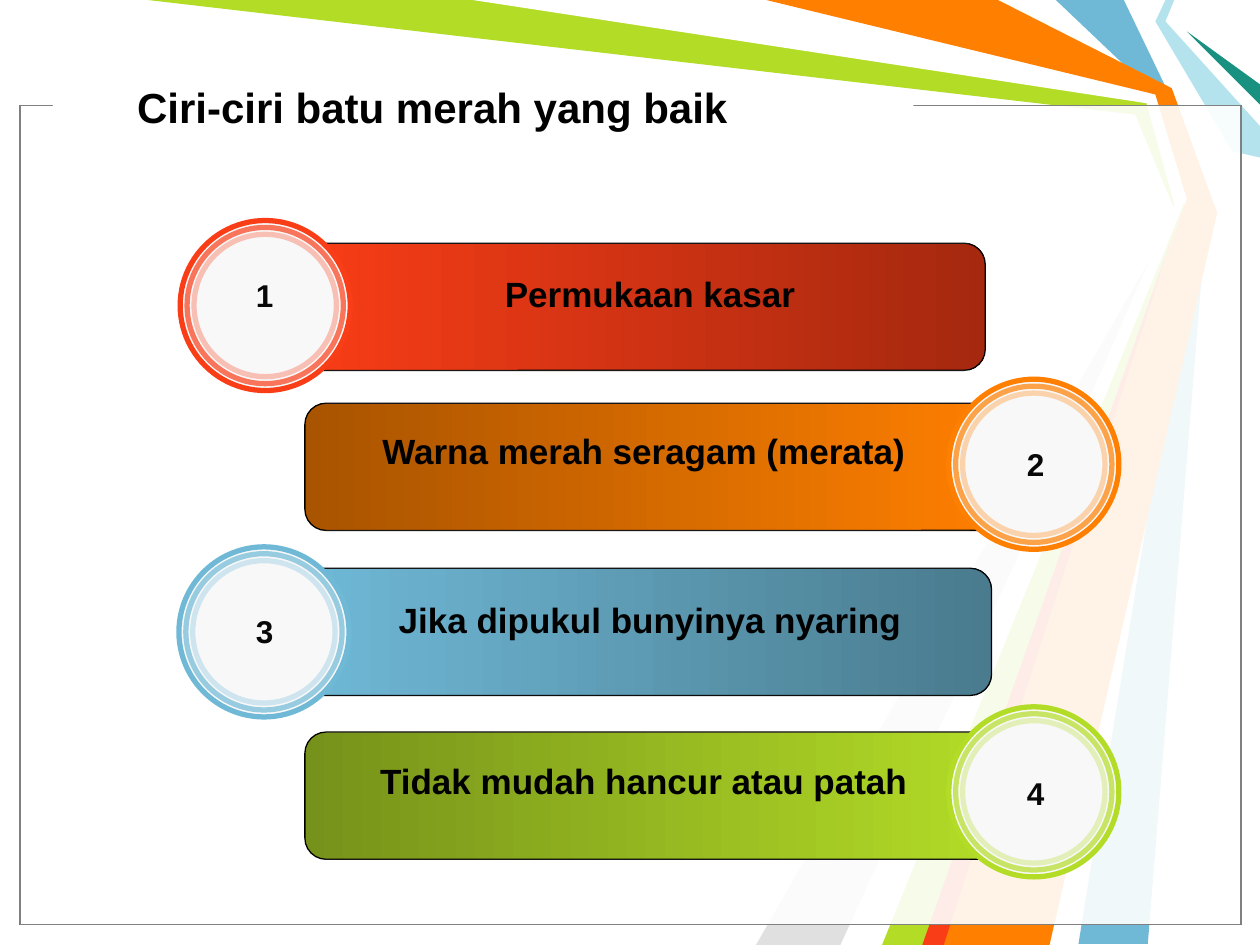
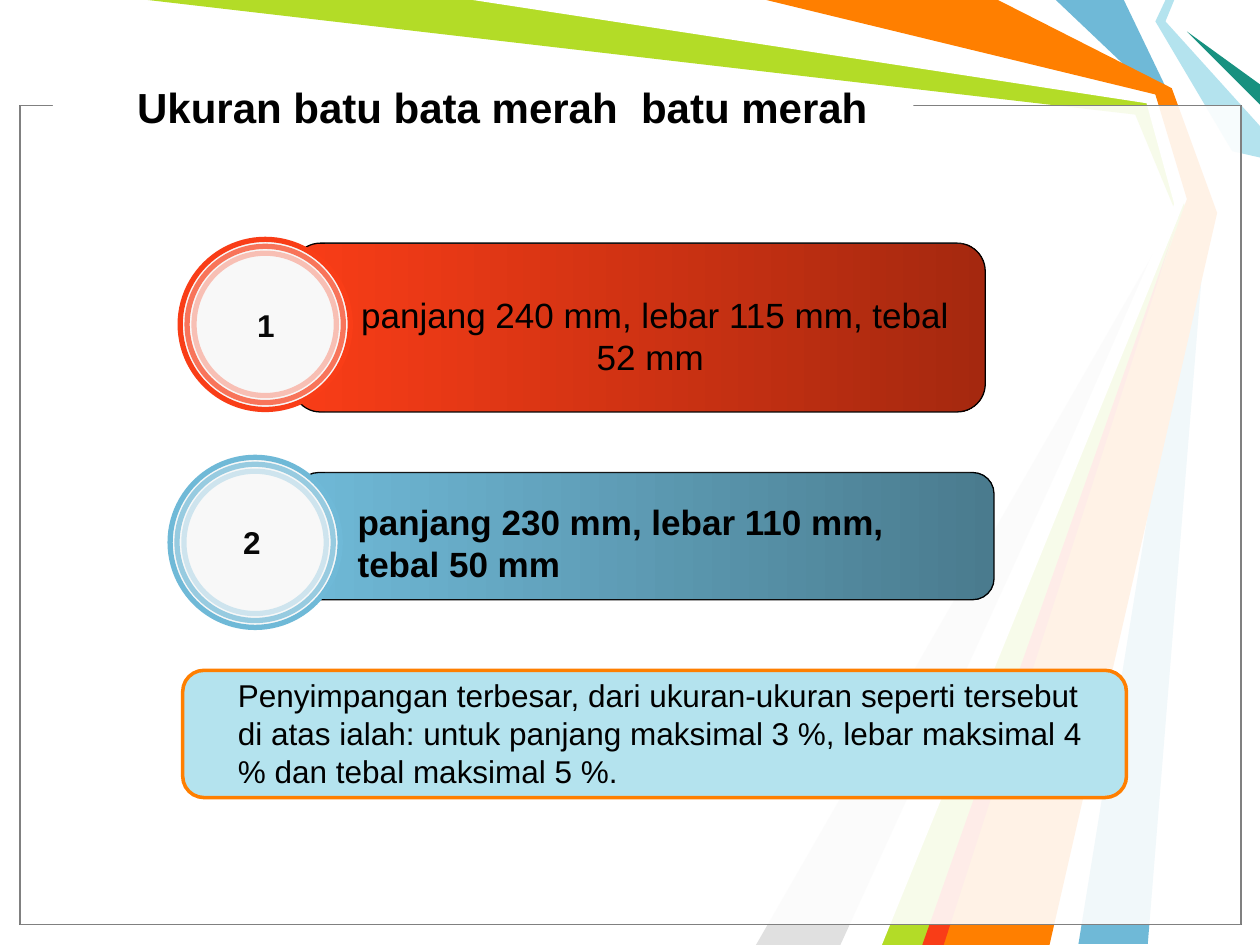
from lxml.etree import SubElement
from pptx import Presentation
from pptx.dml.color import RGBColor as RGB
from pptx.enum.shapes import MSO_CONNECTOR as LINK, MSO_SHAPE as KIND
from pptx.enum.text import MSO_ANCHOR as ANCHOR, PP_ALIGN as ALIGN
from pptx.oxml.ns import qn
from pptx.util import Inches, Pt

WIDE, HIGH = Inches(10), Inches(7.5)
COLS, ROWS = 100, 75
FONT = "Arial"

BLACK = RGB(0x00, 0x00, 0x00)
INK = RGB(0x08, 0x08, 0x08)
WHITE = RGB(0xFF, 0xFF, 0xFF)
PEARL = RGB(0xF8, 0xF8, 0xF8)
GREY = RGB(0x80, 0x80, 0x80)
SILVER = RGB(0xE0, 0xE0, 0xE0)
TEAL = RGB(0x18, 0x91, 0x80)
ICE = RGB(0xB4, 0xE3, 0xEE)
RED, WINE = RGB(0xF9, 0x3D, 0x17), RGB(0xA5, 0x28, 0x0F)
ORANGE, BROWN = RGB(0xFF, 0x7F, 0x00), RGB(0xA9, 0x54, 0x00)
BLUE, STEEL = RGB(0x6F, 0xB9, 0xD7), RGB(0x4A, 0x7B, 0x8E)
LIME, OLIVE = RGB(0xB3, 0xDC, 0x27), RGB(0x77, 0x92, 0x1A)

RAYS = [
    (BLUE, [(89.2, 0), (92.9, 7.7), (95.8, 16.7), (91.1, 74.9),
            (85.6, 74.9), (95, 16.7), (91.7, 7.5), (83.8, 0)]),
    (LIME, [(11.7, 0), (38.3, 0), (91.4, 7.8), (94.2, 16.9), (74.2, 75),
            (69.2, 75), (93.5, 17.3), (90.1, 9.1)]),
    (SILVER, [(66.7, 75), (92.7, 18.1), (60, 75)]),
    (WHITE, [(37.5, 0), (91, 8.2), (93.2, 16.2), (67.5, 75), (70, 75),
             (94.1, 15.8), (91.7, 7.5), (60, 0)]),
    (ICE, [(92.5, 0), (91.7, 1.7), (97.8, 12), (100, 12.5), (100, 10),
           (92.5, 1.7), (93.2, 0)]),
    (TEAL, [(100, 8.3), (94.2, 2.5), (100, 6.7)]),
    (ORANGE, [(60.8, 0), (79.2, 0), (93, 7), (96.6, 16.9), (83.3, 75),
              (73.3, 75), (94.2, 15.8), (91.7, 7.5)]),
    (RED, [(73.2, 75), (93.2, 18.3), (74.9, 75)]),
]
RINGS = [(13.5, 100), (12.4, 70), (11.3, 30)]


def spot(x, y):
    """Turn a column and a row into slide lengths."""
    return round(x * WIDE / COLS), round(y * HIGH / ROWS)


def area(x, y, w, h):
    """Turn a grid area into left, top, width and height."""
    return *spot(x, y), *spot(w, h)


def fade(item, part, share):
    """Make the colour of a fill or line partly opaque."""
    for tone in item.element.xpath(f"p:spPr/{part}a:solidFill/a:srgbClr"):
        SubElement(tone, qn("a:alpha"), val=str(share * 1000))


def paint(item, fill=None, edge=None, width=0.75):
    """Set a plain fill and outline, without a shadow."""
    item.shadow.inherit = False
    if fill is None:
        item.fill.background()
    else:
        item.fill.solid()
        item.fill.fore_color.rgb = fill
    if edge is None:
        item.line.fill.background()
    else:
        item.line.color.rgb = edge
        item.line.width = Pt(width)


def shape(slide, kind, place, *look):
    """Add a painted preset shape."""
    item = slide.shapes.add_shape(kind, *area(*place))
    paint(item, *look)
    return item


def pill(slide, place, *look):
    """Add a bar with softly rounded corners."""
    item = shape(slide, KIND.ROUNDED_RECTANGLE, place, *look)
    item.adjustments[0] = 0.167
    return item


def rule(slide, x, y, w, tone, width, share=100):
    """Add a level line."""
    line = slide.shapes.add_connector(
        LINK.STRAIGHT, *spot(x, y), *spot(x + w, y))
    line.line.color.rgb = tone
    line.line.width = Pt(width)
    SubElement(line.element.spPr, qn("a:effectLst"))
    if share < 100:
        fade(line, "a:ln/", share)


def label(slide, place, text, size, bold=True, align=ALIGN.LEFT,
          tone=BLACK, anchor=ANCHOR.TOP):
    """Add a wrapped text box."""
    frame = slide.shapes.add_textbox(*area(*place)).text_frame
    frame.word_wrap = True
    frame.vertical_anchor = anchor
    para = frame.paragraphs[0]
    para.text = text
    para.alignment = align
    font = para.font
    font.name, font.size, font.bold = FONT, Pt(size), bold
    font.color.rgb = tone


def ray(slide, tone, points):
    """Add one filled ray of the backdrop."""
    start, *rest = [spot(*point) for point in points]
    path = slide.shapes.build_freeform(*start)
    path.add_line_segments(rest, close=True)
    paint(path.convert_to_shape(), tone)


def page(deck, title):
    """Add a slide with the shared backdrop, frame and title."""
    slide = deck.slides.add_slide(deck.slide_layouts[6])
    for tone, points in RAYS:
        ray(slide, tone, points)
    for edge in (BLACK, GREY):
        veil = shape(slide, KIND.RECTANGLE, (1.6, 8.4, 96.9, 65), WHITE, edge)
        fade(veil, "", 69)
    shape(slide, KIND.RECTANGLE, (4.2, 7.4, 68.3, 1.7), WHITE)
    label(slide, (9.9, 2.2, 79, 12.5), title, 24, anchor=ANCHOR.MIDDLE)
    return slide


def band(slide, place, left, right):
    """Add a shaded bar with faint highlights on its long edges."""
    bar = pill(slide, place, WHITE, BLACK)
    bar.fill.gradient()
    bar.fill.gradient_angle = 0
    for stop, tone, at in zip(bar.fill.gradient_stops, (left, right), (0, 1)):
        stop.color.rgb = tone
        stop.position = at
    top, high = place[1], place[3]
    for y, share in ((top + high, 15), (top, 25)):
        rule(slide, 25.8, y, 51.2, WHITE, 0.25, share)


def badge(slide, x, y, tone, text, at):
    """Add a numbered disc with rings around one centre."""
    full = RINGS[0][0]
    for size, share in RINGS:
        gap = (full - size) / 2
        fill = PEARL if size == full else None
        ring = shape(slide, KIND.OVAL, (x + gap, y + gap, size, size),
                     fill, tone, 3)
        if share < 100:
            fade(ring, "a:ln/", share)
    label(slide, (*at, 11.8, 4), text, 18, align=ALIGN.CENTER, tone=INK)


def traits(deck):
    """Build the slide on the traits of good bricks."""
    slide = page(deck, "Ciri-ciri batu merah yang baik")
    rows = [
        ("Permukaan kasar", (23.2, 19.3, 55, 10.1), (RED, WINE), RED,
         (26.6, 21.1), (14.3, 17.5), (15.1, 21.4)),
        ("Warna merah seragam (merata)", (24.2, 32, 55.6, 10.1),
         (BROWN, ORANGE), ORANGE, (26.1, 33.6), (75.3, 30.1), (76.3, 34.8)),
        ("Jika dipukul bunyinya nyaring", (23.4, 45.1, 55.3, 10.1),
         (BLUE, STEEL), BLUE, (26.6, 47), (14.2, 43.4), (15.1, 48.1)),
        ("Tidak mudah hancur atau patah", (24.2, 58.1, 55.6, 10.1),
         (OLIVE, LIME), LIME, (26.1, 59.8), (75.3, 56.1), (76.3, 60.9)),
    ]
    for num, (text, place, tones, tone, at, disc, mark) in enumerate(rows, 1):
        band(slide, place, *tones)
        label(slide, (*at, 50, 4.4), text, 20, align=ALIGN.CENTER)
        badge(slide, *disc, tone, str(num), mark)


def sizes(deck):
    """Build the slide on brick sizes."""
    slide = page(deck, "Ukuran batu bata merah  batu merah")
    band(slide, (23.2, 19.3, 55, 13.4), RED, WINE)
    label(slide, (27, 22.8, 50, 7.7),
          "panjang 240 mm, lebar 115 mm, tebal 52 mm ", 20, False,
          ALIGN.CENTER)
    badge(slide, 14.3, 19, RED, "1", (15.2, 23.8))
    band(slide, (23.6, 37.5, 55.3, 10.1), BLUE, STEEL)
    label(slide, (27.4, 39.2, 50, 7.7),
          "panjang 230 mm, lebar 110 mm, tebal 50 mm", 20)
    badge(slide, 13.5, 36.3, BLUE, "2", (14.1, 41))
    pill(slide, (14.5, 53.2, 74.9, 10.1), ICE, ORANGE, 2)
    for y in (63.3, 53.2):
        rule(slide, 18, y, 69.4, ORANGE, 2)
    label(slide, (17.9, 53.2, 69.5, 10),
          "Penyimpangan terbesar, dari ukuran-ukuran seperti tersebut di atas "
          "ialah: untuk panjang maksimal 3 %, lebar maksimal 4 % dan tebal "
          "maksimal 5 %.", 18, False)


def main():
    """Build and save the deck."""
    deck = Presentation()
    deck.slide_width, deck.slide_height = WIDE, HIGH
    traits(deck)
    sizes(deck)
    deck.save("out.pptx")


if __name__ == "__main__":
    main()
